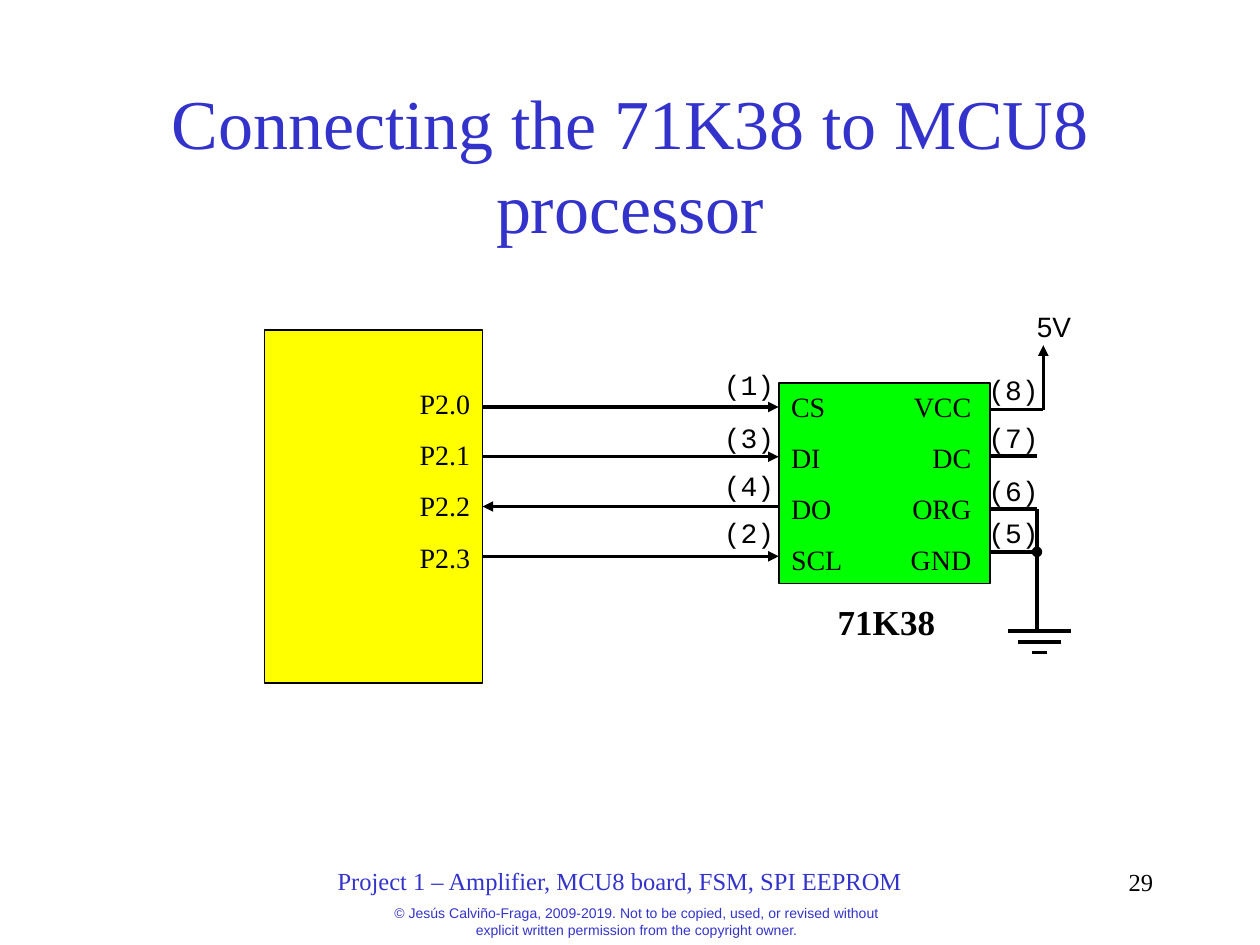
from lxml import etree
from pptx import Presentation
from pptx.dml.color import RGBColor
from pptx.enum.shapes import MSO_CONNECTOR, MSO_SHAPE
from pptx.enum.text import MSO_ANCHOR, MSO_AUTO_SIZE, PP_ALIGN
from pptx.oxml.ns import qn
from pptx.util import Inches, Pt

LEFT, CENTER, RIGHT = PP_ALIGN.LEFT, PP_ALIGN.CENTER, PP_ALIGN.RIGHT
TOP, MIDDLE = MSO_ANCHOR.TOP, MSO_ANCHOR.MIDDLE
STRAIGHT, RECT = MSO_CONNECTOR.STRAIGHT, MSO_SHAPE.RECTANGLE
COLORS = {"blue": "3333CC", "black": "000000", "cpu": "FFFF00", "eeprom": "00FF00"}
SERIF, SANS, MONO = "Times New Roman", "Arial", "Courier New"

prs = Presentation()
prs.slide_width, prs.slide_height = Inches(10), Inches(7.5)
s = prs.slides.add_slide(prs.slide_layouts[5])


def write(sp, lines, size, font=SERIF, color="black", align=CENTER, anchor=TOP, bold=False):
    tf = sp.text_frame
    frame = {"word_wrap": True, "auto_size": MSO_AUTO_SIZE.NONE, "vertical_anchor": anchor}
    for name, value in frame.items():
        setattr(tf, name, value)
    for i, line in enumerate(lines):
        p = tf.paragraphs[0] if i == 0 else tf.add_paragraph()
        p.alignment = align
        p.space_before = Pt(10 if i else 0)
        r = p.add_run()
        r.text = line
        for name, value in {"name": font, "size": Pt(size), "bold": bold}.items():
            setattr(r.font, name, value)
        r.font.color.rgb = RGBColor.from_string(COLORS[color])


def wire(x1, y1, x2, y2, end=None):
    """Draw a black wire; end names the arrowhead type at (x2, y2)."""
    c = s.shapes.add_connector(STRAIGHT, Inches(x1), Inches(y1), Inches(x2), Inches(y2))
    c.line.width = Pt(2)
    c.line.color.rgb = RGBColor.from_string(COLORS["black"])
    if end:
        etree.SubElement(c.line._get_or_add_ln(), qn("a:tailEnd"), type=end)
    etree.SubElement(c._element.spPr, qn("a:effectLst"))
    return c


# Title
title = s.shapes.title
title.left, title.top = Inches(0.75), Inches(0.67)
title.width, title.height = Inches(8.5), Inches(1.25)
write(title, ["Connecting the 71K38 to MCU8 processor"], 40, color="blue", anchor=MIDDLE)

# Processor and memory blocks
CPU_RIGHT, CHIP_LEFT, CHIP_RIGHT = 3.83, 6.18, 7.86
blocks = {}
for name, x, y, w, h in [("cpu", 2.1, 2.62, CPU_RIGHT - 2.1, 2.8),
                         ("eeprom", CHIP_LEFT, 3.04, CHIP_RIGHT - CHIP_LEFT, 1.59)]:
    sp = s.shapes.add_shape(RECT, Inches(x), Inches(y), Inches(w), Inches(h))
    sp.shadow.inherit = False
    sp.fill.solid()
    sp.fill.fore_color.rgb = RGBColor.from_string(COLORS[name])
    sp.line.color.rgb = RGBColor.from_string(COLORS["black"])
    sp.line.width = Pt(1)
    blocks[name] = sp

blocks["cpu"].text_frame.margin_top = Inches(0.45)
write(blocks["cpu"], [f"P2.{i}" for i in range(4)], 16, align=RIGHT)

pins = [("CS", "VCC"), ("DI", "DC"), ("DO", "ORG"), ("SCL", "GND")]
write(blocks["eeprom"], ["\t".join(pair) for pair in pins], 16, align=LEFT)
for p in blocks["eeprom"].text_frame.paragraphs:
    tabs = etree.SubElement(p._p.get_or_add_pPr(), qn("a:tabLst"))
    etree.SubElement(tabs, qn("a:tab"), pos=str(Inches(1.43)), algn="r")

# Signal wires: only DO runs back to the processor
for i, (signal, _) in enumerate(pins):
    y = 3.23 + 0.395 * i
    if signal == "DO":
        wire(CHIP_LEFT, y, CPU_RIGHT, y, "triangle").end_connect(blocks["cpu"], 3)
    else:
        wire(CPU_RIGHT, y, CHIP_LEFT, y, "triangle")

# Supply and ground wires
SUPPLY_X, GROUND_X, GROUND_Y = 8.28, 8.23, 5.01
wire(CHIP_RIGHT, 3.25, SUPPLY_X, 3.25)
wire(SUPPLY_X, 3.25, SUPPLY_X, 2.74, "triangle")
for y, end in [(3.62, None), (4.04, None), (4.38, "oval")]:
    wire(CHIP_RIGHT, y, GROUND_X, y, end)
wire(GROUND_X, GROUND_Y, GROUND_X, 4.04)
for i, half in enumerate([0.25, 0.17, 0.06]):
    y = GROUND_Y + 0.085 * i
    wire(GROUND_X + 0.02 - half, y, GROUND_X + 0.02 + half, y)

# Labels, pin numbers and footer
labels = [("71K38", 6.43, 4.72, 1.21, 0.44, {"size": 20, "bold": True}),
          ("5V", 8.07, 2.41, 0.59, 0.37, {"size": 16, "font": SANS}),
          ("Project 1 – Amplifier, MCU8 board, FSM, SPI EEPROM", 2.23, 6.82, 5.38, 0.32,
           {"size": 14, "color": "blue"}),
          ("© Jesús Calviño-Fraga, 2009-2019. Not to be copied, used, or revised without "
           "explicit written permission from the copyright owner.", 3, 7.13, 4.11, 0.37,
           {"size": 8, "font": SANS, "color": "blue"}),
          ("29", 7.17, 6.83, 2.08, 0.5, {"size": 14, "align": RIGHT})]
for x, numbers in [(5.63, {1: 2.87, 3: 3.29, 4: 3.67, 2: 4.04}),
                   (7.73, {8: 2.91, 7: 3.29, 6: 3.71, 5: 4.04})]:
    labels += [(f"({n})", x, y, 0.63, 0.37, {"size": 16, "font": MONO})
               for n, y in numbers.items()]
for text, x, y, w, h, fmt in labels:
    write(s.shapes.add_textbox(Inches(x), Inches(y), Inches(w), Inches(h)), [text], **fmt)

prs.save("out.pptx")
